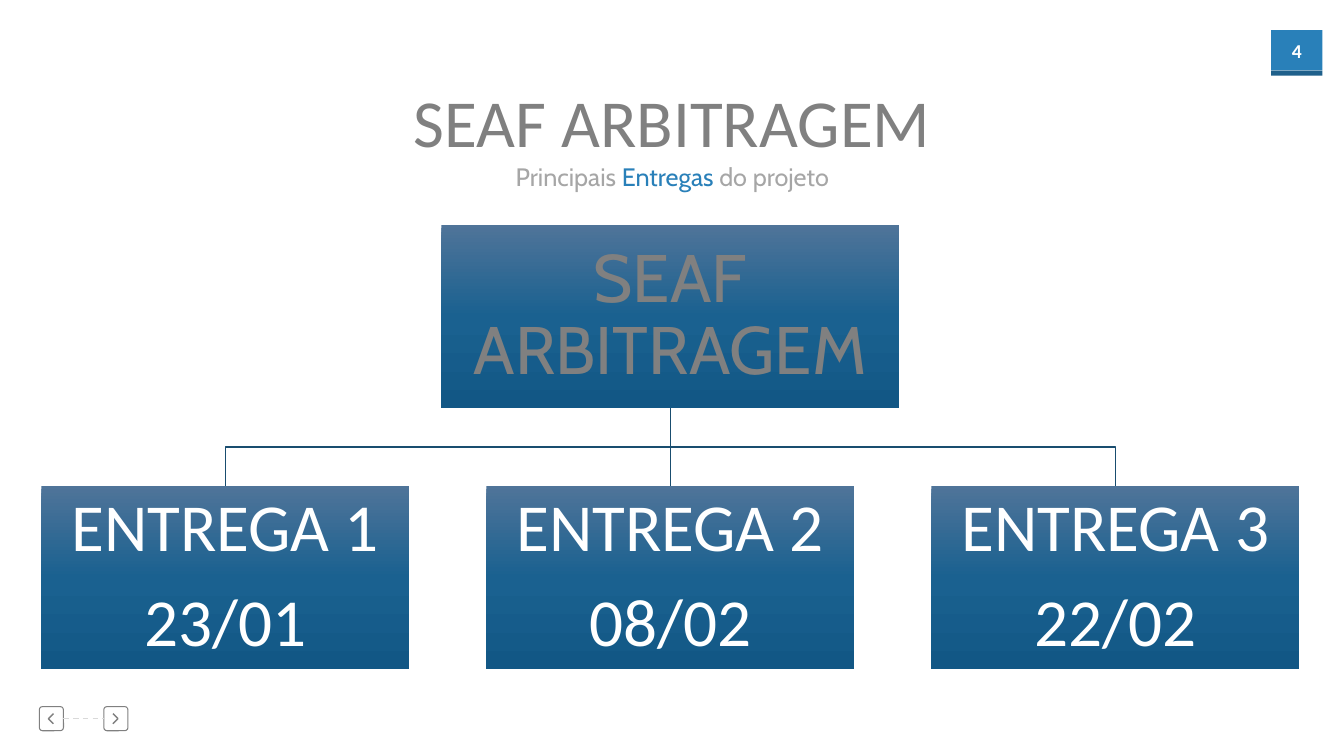
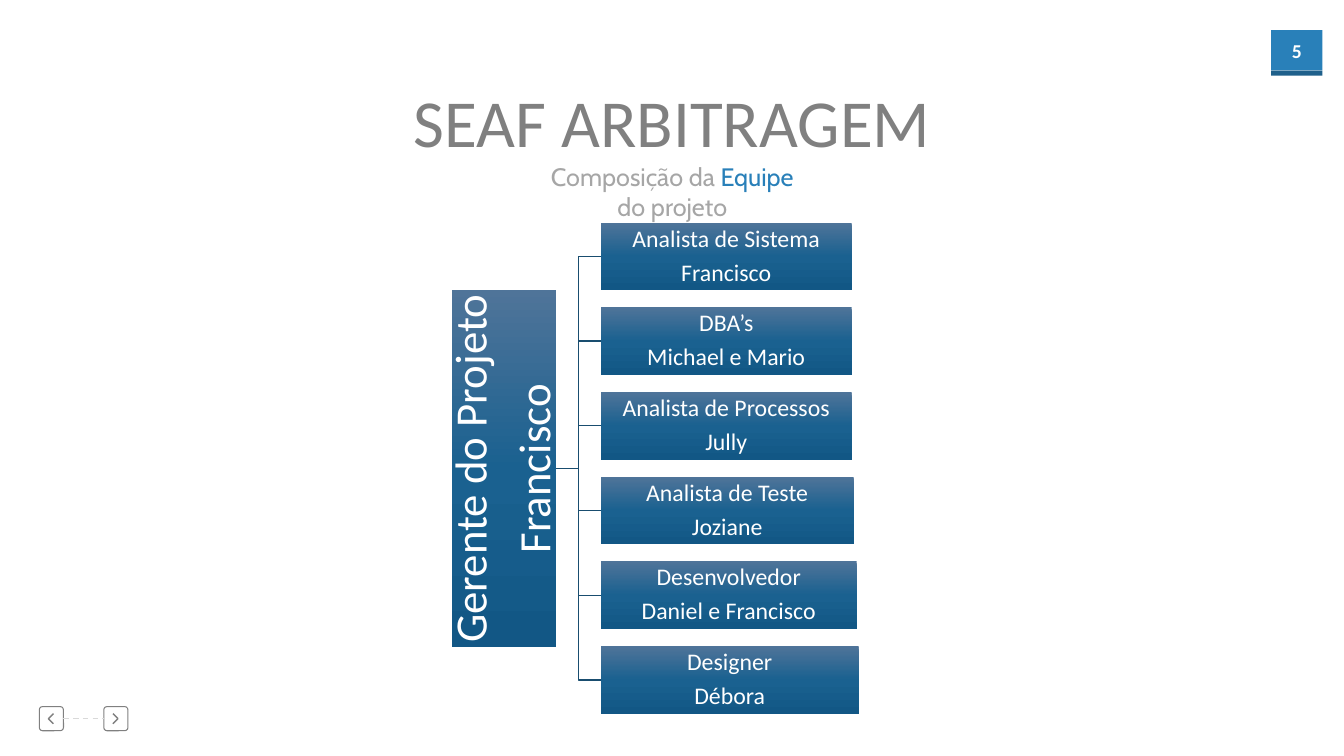
from copy import deepcopy

from lxml import etree
from pptx import Presentation
from pptx.dml.color import RGBColor
from pptx.enum.dml import MSO_LINE
from pptx.enum.shapes import MSO_CONNECTOR as CONNECTOR, MSO_SHAPE as SHAPE
from pptx.enum.text import MSO_ANCHOR as ANCHOR, MSO_AUTO_SIZE as AUTO_SIZE, PP_ALIGN as ALIGN
from pptx.oxml.ns import qn
from pptx.util import Inches, Pt

COLORS = {
    "blue": "2980B9", "dark_blue": "1F608B", "line": "194D6F",
    "white": "FFFFFF", "gray": "808080", "soft_gray": "A6A6A6", "pale_gray": "D9D9D9",
}
BOX_GRADIENT = [(0, "4F7499"), (0.5, "1A6190"), (1, "125785")]
TOP, LEFT, BOTTOM, RIGHT = range(4)
FIRST_PAGE = 4


def rgb(name):
    return RGBColor.from_string(COLORS.get(name, name))


def write(frame, paragraphs, size=18, font="Calibri", color="white", bold=False,
          inset=None, wrap=True, anchor=ANCHOR.MIDDLE, spacing=1, after=0):
    """Fill a frame; a paragraph is a string or a list of (text, color) spans."""
    frame.auto_size = AUTO_SIZE.NONE
    frame.word_wrap = wrap
    frame.vertical_anchor = anchor
    if inset is not None:
        frame.margin_left = frame.margin_right = Inches(inset)
        frame.margin_top = frame.margin_bottom = Inches(inset)
    for index, content in enumerate(paragraphs):
        para = frame.add_paragraph() if index else frame.paragraphs[0]
        para.alignment = ALIGN.CENTER
        para.line_spacing = spacing
        para.space_before, para.space_after = Pt(0), Pt(after)
        spans = [(content, color)] if isinstance(content, str) else content
        for text, span_color in spans:
            span = para.add_run()
            span.text = text
            span.font.size, span.font.name, span.font.bold = Pt(size), font, bold
            span.font.color.rgb = rgb(span_color)


def make_page_field(para):
    """Turn the paragraph's only run into a live slide number."""
    span = para.runs[0]._r
    field = etree.Element(qn("a:fld"), type="slidenum",
                          id="{B6F15528-21DE-4FAA-801E-634DDDAF4B2B}")
    field.extend(list(span))
    span.getparent().replace(span, field)


def side_point(box, side):
    x = {LEFT: box.left, RIGHT: box.left + box.width}.get(side, box.left + box.width // 2)
    y = {TOP: box.top, BOTTOM: box.top + box.height}.get(side, box.top + box.height // 2)
    return x, y


def turn_downward(elbow, start, end):
    """Rotate an elbow so that it leaves start and enters end vertically."""
    run, drop = abs(end[0] - start[0]), end[1] - start[1]
    elbow.left = (start[0] + end[0] - drop) // 2
    elbow.top = (start[1] + end[1] - run) // 2
    elbow.width, elbow.height = drop, run
    rightward = end[0] > start[0]
    frame = elbow._element.spPr.find(qn("a:xfrm"))
    frame.set("rot", str((270 if rightward else 90) * 60000))
    frame.set("flipH", str(int(rightward)))
    frame.set("flipV", "0")


class Builder:
    def __init__(self):
        self.deck = Presentation()
        self.deck.slide_width, self.deck.slide_height = Inches(40) // 3, Inches(7.5)
        self.deck.element.set("firstSlideNum", str(FIRST_PAGE))
        self.page = None

    def start(self, title, subtitle, subtitle_width):
        self.page = self.deck.slides.add_slide(self.deck.slide_layouts[0])
        self.heading(self.page.shapes.title, [title], 0.75, 5.38, 0.91,
                     size=48, color="gray", wrap=False)
        self.heading(self.page.placeholders[1], [subtitle], 1.55, subtitle_width, 0.4,
                     size=18, font="Cabin")
        self.page_badge()
        self.navigation()

    def heading(self, holder, paragraphs, top, width, height, **style):
        holder.left, holder.top = Inches(6.67 - width / 2), Inches(top)
        holder.width, holder.height = Inches(width), Inches(height)
        write(holder.text_frame, paragraphs, anchor=ANCHOR.TOP, **style)

    def shape(self, left, top, width, height, fill=None, kind=SHAPE.RECTANGLE):
        box = self.page.shapes.add_shape(kind, Inches(left), Inches(top),
                                         Inches(width), Inches(height))
        box.shadow.inherit = False
        box.line.fill.background()
        if fill:
            box.fill.solid()
            box.fill.fore_color.rgb = rgb(fill)
        else:
            box.fill.background()
        return box

    def outline(self, shape, color, width):
        shape.line.color.rgb = rgb(color)
        shape.line.width = Pt(width)

    def box(self, left, top, width, height, paragraphs, size, font="Calibri",
            color="white", inset=0.03, upward=False):
        box = self.shape(left, top, width, height)
        box.fill.gradient()
        box.fill.gradient_angle = 270
        stops = box._element.spPr.find(".//" + qn("a:gsLst"))
        stops.append(deepcopy(stops[-1]))
        for stop, (position, stop_color) in zip(box.fill.gradient_stops, BOX_GRADIENT):
            stop.position = position
            stop.color.rgb = rgb(stop_color)
        write(box.text_frame, paragraphs, size=size, font=font, color=color,
              inset=inset, spacing=0.9, after=round(size * 0.33))
        if upward:
            box.text_frame._txBody.bodyPr.set("vert", "vert270")
        return box

    def link(self, begin, begin_side, end, end_side, color="line", kind=CONNECTOR.STRAIGHT):
        start, stop = side_point(begin, begin_side), side_point(end, end_side)
        line = self.page.shapes.add_connector(kind, *start, *stop)
        line.begin_connect(begin, begin_side)
        line.end_connect(end, end_side)
        if kind == CONNECTOR.ELBOW and begin_side == BOTTOM:
            turn_downward(line, start, stop)
        self.outline(line, color, 1)
        etree.SubElement(line._element.spPr, qn("a:effectLst"))
        return line

    def branch(self, root, children, out_side, in_side):
        """Join root to each child, straight where the two are in line."""
        axis = 0 if out_side == BOTTOM else 1
        for child in children:
            shift = side_point(child, in_side)[axis] - side_point(root, out_side)[axis]
            kind = CONNECTOR.STRAIGHT if abs(shift) < Inches(0.01) else CONNECTOR.ELBOW
            self.link(root, out_side, child, in_side, kind=kind)

    def page_badge(self):
        badge = self.shape(12.61, 0.3, 0.51, 0.4, "blue")
        number = FIRST_PAGE + len(self.deck.slides) - 1
        write(badge.text_frame, [str(number)], size=14, bold=True, inset=0)
        make_page_field(badge.text_frame.paragraphs[0])
        self.shape(12.61, 0.7, 0.51, 0.05, "dark_blue")

    def navigation(self):
        back = self.nav_button(0.39, tip=0.48, tail=0.53)
        forward = self.nav_button(1.03, tip=1.17, tail=1.12)
        dashes = self.link(back, RIGHT, forward, LEFT, color="pale_gray")
        dashes.line.dash_style = MSO_LINE.DASH

    def nav_button(self, left, tip, tail):
        button = self.shape(left, 7.01, 0.24, 0.24, kind=SHAPE.ROUNDED_RECTANGLE)
        button.adjustments[0] = 0.14
        self.outline(button, "gray", 0.75)
        pen = self.page.shapes.build_freeform(Inches(tail), Inches(7.08))
        pen.add_line_segments([(Inches(tip), Inches(7.13)), (Inches(tail), Inches(7.18))],
                              close=False)
        chevron = pen.convert_to_shape()
        chevron.shadow.inherit = False
        chevron.fill.background()
        self.outline(chevron, "gray", 1)
        return button


def deliveries(builder):
    builder.start("SEAF ARBITRAGEM", [("Principais ", "soft_gray"), ("Entregas ", "blue"),
                                      ("do projeto", "soft_gray")], 3.57)
    root = builder.box(4.38, 2.23, 4.54, 1.82, ["SEAF ARBITRAGEM"], 48,
                       font="Cabin", color="gray")
    dates = ["23/01", "08/02", "22/02"]
    children = [builder.box(0.41 + 4.415 * index, 4.82, 3.65, 1.82,
                            [f"ENTREGA {index + 1}", date], 48)
                for index, date in enumerate(dates)]
    builder.branch(root, children, BOTTOM, TOP)


def team(builder):
    builder.start("SEAF ARBITRAGEM", [("Composição da ", "soft_gray"), ("Equipe ", "blue"),
                                      ("do projeto", "soft_gray")], 2.83)
    manager = builder.box(4.48, 2.88, 1.04, 3.54, ["Gerente do Projeto", "Francisco"], 32,
                          inset=0.02, upward=True)
    members = [
        ("Analista de Sistema", "Francisco", 2.49),
        ("DBA’s", "Michael e Mario", 2.49),
        ("Analista de Processos", "Jully", 2.49),
        ("Analista de Teste", "Joziane", 2.51),
        ("Desenvolvedor", "Daniel e Francisco", 2.54),
        ("Designer", "Débora", 2.56),
    ]
    children = [builder.box(5.96, 2.21 + 0.84 * index, width, 0.67, [role, name], 17,
                            inset=0.01)
                for index, (role, name, width) in enumerate(members)]
    builder.branch(manager, children, RIGHT, LEFT)


def main():
    builder = Builder()
    deliveries(builder)
    team(builder)
    builder.deck.save("out.pptx")


if __name__ == "__main__":
    main()
